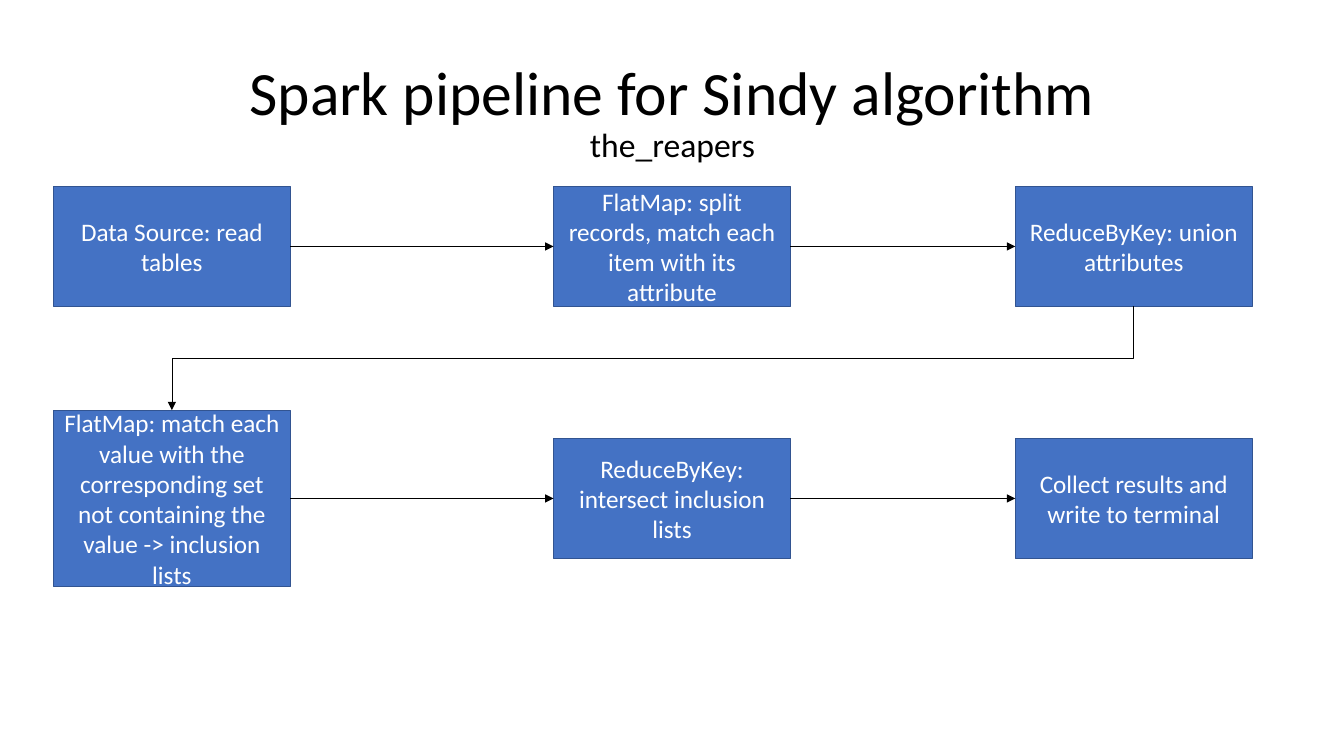
from dataclasses import dataclass
from lxml import etree
from pptx import Presentation
from pptx.dml.color import RGBColor
from pptx.enum.shapes import MSO_CONNECTOR as CONN, MSO_SHAPE as SHAPE
from pptx.enum.text import MSO_ANCHOR as ANCHOR, MSO_AUTO_SIZE as FIT, PP_ALIGN as ALIGN
from pptx.oxml.ns import qn
from pptx.util import Inches, Pt


@dataclass(frozen=True)
class Theme:
    font: str = "Calibri"
    ink: RGBColor = RGBColor(0, 0, 0)
    box: RGBColor = RGBColor(0x44, 0x72, 0xC4)
    edge: RGBColor = RGBColor(0x32, 0x54, 0x91)
    box_ink: RGBColor = RGBColor(255, 255, 255)
    title: Pt = Pt(44)
    subtitle: Pt = Pt(24)
    body: Pt = Pt(18)
    edge_width: Pt = Pt(1)
    arrow_width: Pt = Pt(0.5)


THEME = Theme()
BOX_W, BOX_H, TALL_H = 2.35, 1.19, 1.75
COLUMNS = (0.53, 5.49, 10.07)
# Each row: vertical centre, then (label, box height) from left to right
ROWS = (
    (2.445, (
        ("Data Source: read tables", BOX_H),
        ("FlatMap: split records, match each item with its attribute", BOX_H),
        ("ReduceByKey: union attributes", BOX_H),
    )),
    (4.945, (
        ("FlatMap: match each value with the corresponding set not containing "
         "the value -> inclusion lists", TALL_H),
        ("ReduceByKey: intersect inclusion lists", BOX_H),
        ("Collect results and write to terminal", BOX_H),
    )),
)


def apply(obj, formats):
    for name, value in formats.items():
        setattr(obj, name, value)


def add_run(p, text, size, color):
    r = p.add_run()
    r.text = text
    apply(r.font, {"name": THEME.font, "size": size})
    r.font.color.rgb = color


def add_title(s, title, subtitle):
    sp = s.shapes.title
    apply(sp, {"left": Inches(0.92), "top": Inches(0.4),
               "width": Inches(11.5), "height": Inches(1.45)})
    tf = sp.text_frame
    apply(tf, {"vertical_anchor": ANCHOR.MIDDLE, "auto_size": FIT.NONE, "word_wrap": True})
    p = tf.paragraphs[0]
    apply(p, {"alignment": ALIGN.CENTER, "line_spacing": 0.9})
    add_run(p, title, THEME.title, THEME.ink)
    p.add_line_break()
    add_run(p, subtitle, THEME.subtitle, THEME.ink)


def add_step(s, text, left, middle, height):
    sp = s.shapes.add_shape(SHAPE.RECTANGLE, Inches(left), Inches(middle - height / 2),
                            Inches(BOX_W), Inches(height))
    sp.shadow.inherit = False
    sp.fill.solid()
    sp.fill.fore_color.rgb = THEME.box
    sp.line.color.rgb = THEME.edge
    sp.line.width = THEME.edge_width
    tf = sp.text_frame
    apply(tf, {"vertical_anchor": ANCHOR.MIDDLE, "word_wrap": True})
    p = tf.paragraphs[0]
    p.alignment = ALIGN.CENTER
    add_run(p, text, THEME.body, THEME.box_ink)
    return sp


def add_arrow(s, kind, start, start_side, end, end_side):
    c = s.shapes.add_connector(kind, 0, 0, 0, 0)
    c.begin_connect(start, start_side)
    c.end_connect(end, end_side)
    c.line.color.rgb = THEME.ink
    c.line.width = THEME.arrow_width
    etree.SubElement(c.line._get_or_add_ln(), qn("a:tailEnd"), type="triangle")
    etree.SubElement(c._element.spPr, qn("a:effectLst"))
    return c


def add_row_return(s, start, end):
    """Elbow arrow from the bottom of start down and left to the top of end."""
    c = add_arrow(s, CONN.ELBOW, start, 2, end, 0)
    # A quarter turn makes the elbow leave and arrive vertically
    across, down = c.width, c.height
    mid_x, mid_y = c.left + across // 2, c.top + down // 2
    apply(c, {"left": mid_x - down // 2, "top": mid_y - across // 2,
              "width": down, "height": across})
    xfrm = c._element.spPr.find(qn("a:xfrm"))
    xfrm.attrib.pop("flipH", None)
    xfrm.set("rot", str(90 * 60000))


def main():
    prs = Presentation()
    apply(prs, {"slide_width": Inches(13.33), "slide_height": Inches(7.5)})
    s = prs.slides.add_slide(prs.slide_layouts[5])
    add_title(s, "Spark pipeline for Sindy algorithm", "the_reapers")

    # Pipeline steps
    rows = [[add_step(s, text, left, middle, height)
             for left, (text, height) in zip(COLUMNS, steps)]
            for middle, steps in ROWS]

    # Flow along each row, then from the first row to the second
    for row in rows:
        for start, end in zip(row, row[1:]):
            add_arrow(s, CONN.STRAIGHT, start, 3, end, 1)
    add_row_return(s, rows[0][-1], rows[1][0])

    prs.save("out.pptx")


if __name__ == "__main__":
    main()
